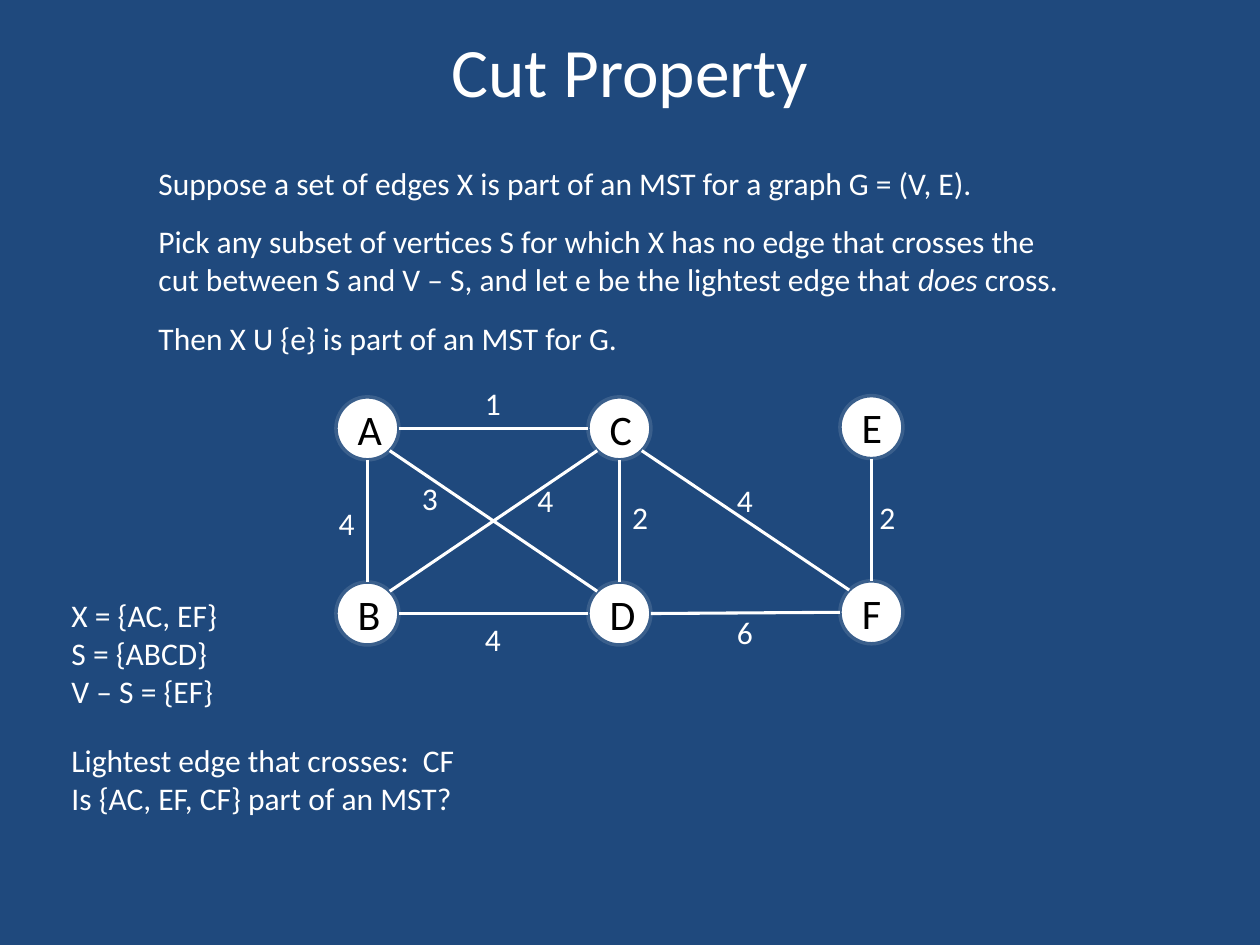
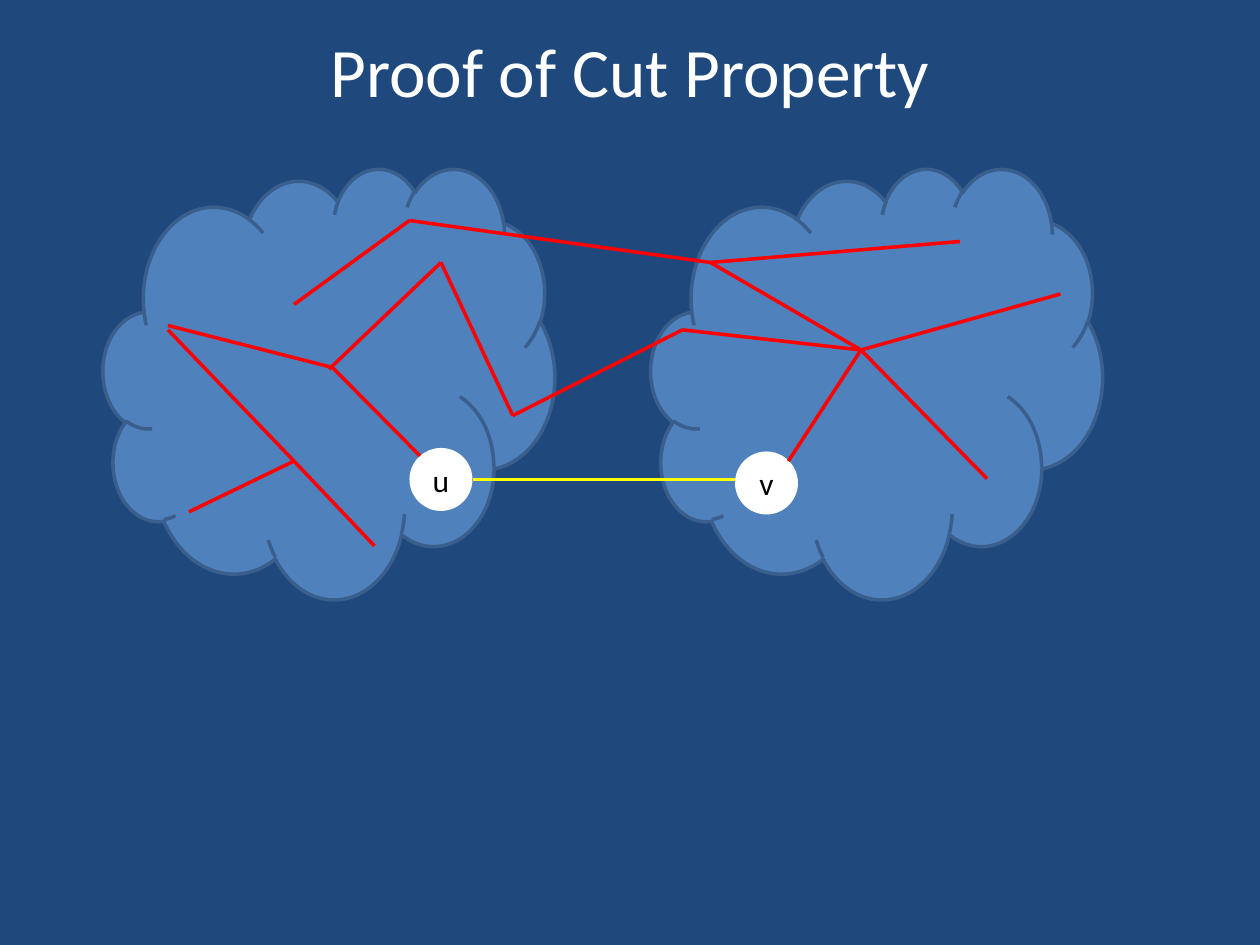
import math

from lxml import etree
from pptx import Presentation
from pptx.dml.color import RGBColor
from pptx.enum.shapes import MSO_CONNECTOR, MSO_SHAPE
from pptx.enum.text import MSO_ANCHOR, MSO_AUTO_SIZE, PP_ALIGN
from pptx.oxml.ns import qn
from pptx.util import Pt

NAVY = RGBColor(0x1F, 0x49, 0x7D)
BLUE = RGBColor(0x4F, 0x81, 0xBD)
OUTLINE = RGBColor(0x3A, 0x5F, 0x8C)
WHITE = RGBColor(0xFF, 0xFF, 0xFF)
BLACK = RGBColor(0x00, 0x00, 0x00)
RED = RGBColor(0xFF, 0x00, 0x00)
YELLOW = RGBColor(0xFF, 0xFF, 0x00)

FONT = "Calibri"
TITLE_ONLY = 5
RADIUS = 18

# Graph vertices: name -> centre, in points
VERTICES = {
    "A": (210, 244.8), "C": (354, 244.8), "E": (498, 244.1),
    "B": (210, 350.6), "D": (354, 350.6), "F": (498, 349.9),
}
# Edge -> weight and the top left corner of its label
EDGES = {
    "AC": ("1", 270, 216), "AB": ("4", 186.5, 284.4),
    "AD": ("3", 234, 270), "BC": ("4", 300, 271.4),
    "CD": ("2", 354.2, 280.8), "CF": ("4", 414, 271.4),
    "EF": ("2", 495.4, 280.8), "BD": ("4", 270, 350.6),
    "DF": ("6", 414, 347),
}

# Spanning tree as paths of points
TREE_PATHS = [
    [(168, 174), (234, 126), (406, 150), (548.5, 138)],
    [(406, 150), (492, 200)],
    [(96, 186), (190, 210), (240, 260.5)],
    [(188, 211), (252, 150), (293, 237.5), (390, 188.5), (492, 200), (606, 168)],
    [(96, 188.5), (168, 263.5), (214, 312)],
    [(108, 292.5), (168, 263.5)],
    [(450.5, 263.5), (492, 200), (564, 273.5)],
]


def style_run(run, size, color, italic=None):
    """Give a run its font, size and colour."""
    run.font.name = FONT
    run.font.size = Pt(size)
    run.font.color.rgb = color
    run.font.italic = italic


def add_slide(prs, title):
    """Add a slide with the shared title style."""
    slide = prs.slides.add_slide(prs.slide_layouts[TITLE_ONLY])
    shape = slide.shapes.title
    shape.left, shape.top, shape.width, shape.height = Pt(36), Pt(12), Pt(648), Pt(56)
    frame = shape.text_frame
    frame.text = title
    frame.auto_size = MSO_AUTO_SIZE.NONE
    frame.vertical_anchor = MSO_ANCHOR.MIDDLE
    frame.paragraphs[0].alignment = PP_ALIGN.CENTER
    style_run(frame.paragraphs[0].runs[0], 39.6, WHITE)
    return slide


def add_text(slide, box, paragraphs, wrap=False, gap=0):
    """Add white text; each paragraph is a list of (text, italic) runs or a string."""
    shape = slide.shapes.add_textbox(*map(Pt, box))
    frame = shape.text_frame
    frame.word_wrap = wrap
    frame.auto_size = MSO_AUTO_SIZE.SHAPE_TO_FIT_TEXT
    for i, content in enumerate(paragraphs):
        para = frame.paragraphs[0] if i == 0 else frame.add_paragraph()
        if i and gap:
            para.space_before = Pt(gap)
        runs = [(content, None)] if isinstance(content, str) else content
        for text, italic in runs:
            run = para.add_run()
            run.text = text
            style_run(run, 18, WHITE, italic)


def add_preset(slide, kind, box, fill, outline=None):
    """Add a flat preset shape, outlined if a colour is given."""
    shape = slide.shapes.add_shape(kind, *map(Pt, box))
    shape.shadow.inherit = False
    shape.fill.solid()
    shape.fill.fore_color.rgb = fill
    if outline is None:
        shape.line.fill.background()
    else:
        shape.line.color.rgb = outline
        shape.line.width = Pt(2)
    return shape


def add_vertex(slide, name, center, size, outline=None):
    """Add a white circle with its name, placed by its centre."""
    x, y = center
    box = (x - RADIUS, y - RADIUS, 2 * RADIUS, 2 * RADIUS)
    frame = add_preset(slide, MSO_SHAPE.OVAL, box, WHITE, outline).text_frame
    frame.text = name
    frame.vertical_anchor = MSO_ANCHOR.MIDDLE
    frame.paragraphs[0].alignment = PP_ALIGN.CENTER
    style_run(frame.paragraphs[0].runs[0], size, BLACK)


def add_line(slide, start, end, color, width):
    """Add a straight line without shadow."""
    line = slide.shapes.add_connector(MSO_CONNECTOR.STRAIGHT, *map(Pt, start + end))
    line.line.color.rgb = color
    line.line.width = Pt(width)
    etree.SubElement(line._element.spPr, qn("a:effectLst"))


def rim_point(center, target):
    """Return the point on a circle's rim, in steps of 45 degrees, facing a target."""
    (x, y), (tx, ty) = center, target
    step = math.pi / 4
    angle = round(math.atan2(ty - y, tx - x) / step) * step
    return (x + RADIUS * math.cos(angle), y + RADIUS * math.sin(angle))


def build_cut_property(prs):
    """Build the statement with its weighted graph example."""
    slide = add_slide(prs, "Cut Property")
    add_text(slide, (83.5, 90, 534, 119), [
        "Suppose a set of edges X is part of an MST for a graph G = (V, E).",
        [("Pick any subset of vertices S for which X has no edge that crosses the "
          "cut between S and V – S, and let e be the lightest edge that ", None),
         ("does", True), (" cross.", None)],
        "Then X U {e} is part of an MST for G.",
    ], wrap=True, gap=12)
    for name, center in VERTICES.items():
        add_vertex(slide, name, center, 24, OUTLINE)
    for (first, second), (weight, left, top) in EDGES.items():
        a, b = VERTICES[first], VERTICES[second]
        add_line(slide, rim_point(a, b), rim_point(b, a), WHITE, 1.75)
        add_text(slide, (left, top, 23.75, 29), [weight])
    add_text(slide, (33.8, 337, 98.6, 72.7),
             ["X = {AC, EF}", "S = {ABCD}", "V – S = {EF}"])
    add_text(slide, (33.8, 420, 236, 51),
             ["Lightest edge that crosses:  CF", "Is {AC, EF, CF} part of an MST?"])


def build_proof(prs):
    """Build the two vertex sets with the tree and the edge between u and v."""
    slide = add_slide(prs, "Proof of Cut Property")
    for left in (59, 372):
        add_preset(slide, MSO_SHAPE.CLOUD, (left, 96, 258, 246), BLUE, OUTLINE)
    add_vertex(slide, "u", (252, 274), 18)
    add_vertex(slide, "v", (438, 276), 18)
    add_line(slide, (270, 274), (420, 274), YELLOW, 2)
    for path in TREE_PATHS:
        for start, end in zip(path, path[1:]):
            add_line(slide, start, end, RED, 2)


def main():
    """Build the presentation."""
    prs = Presentation()
    prs.slide_width, prs.slide_height = Pt(720), Pt(540)
    background = prs.slide_master.background.fill
    background.solid()
    background.fore_color.rgb = NAVY
    build_cut_property(prs)
    build_proof(prs)
    prs.save("out.pptx")


main()
